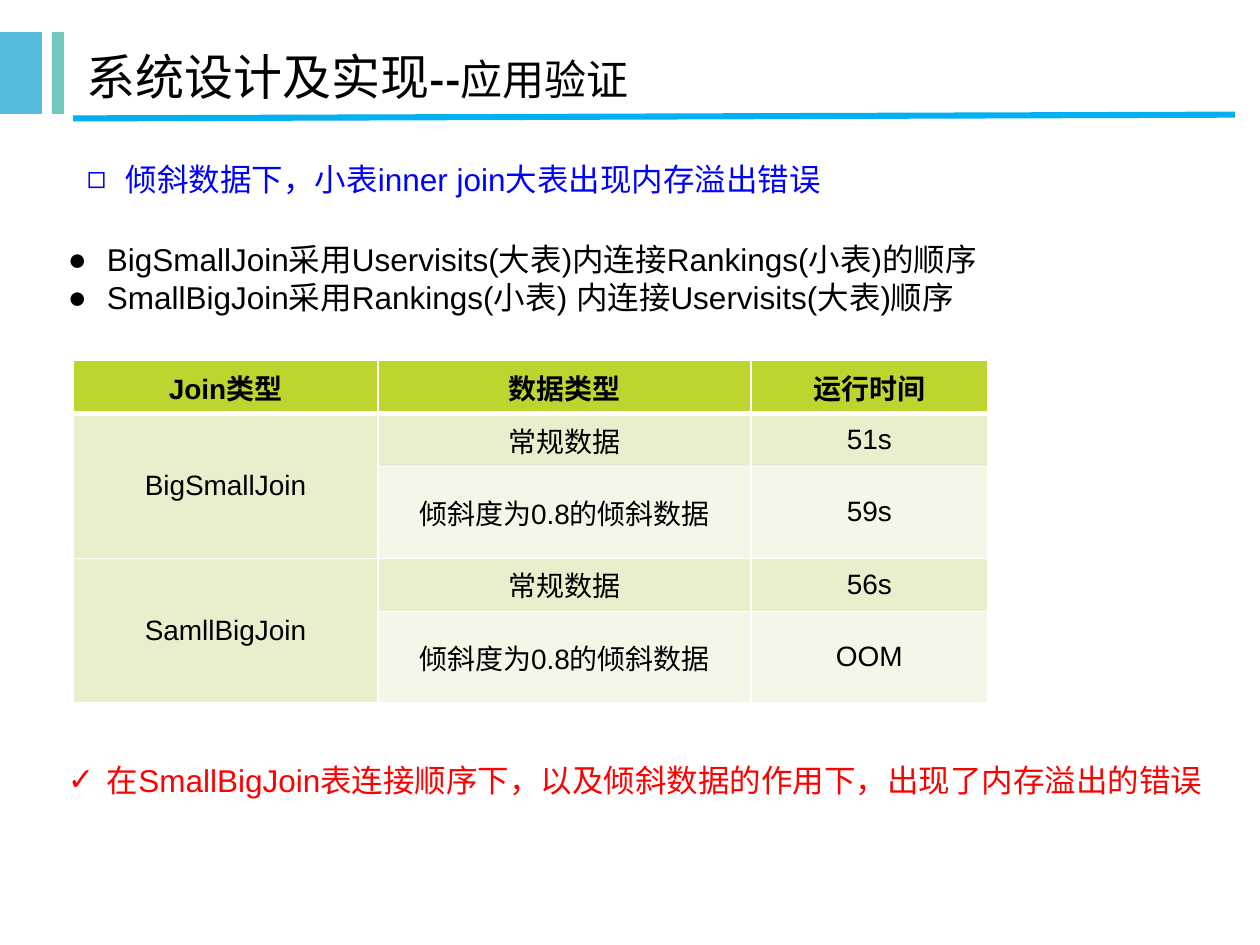
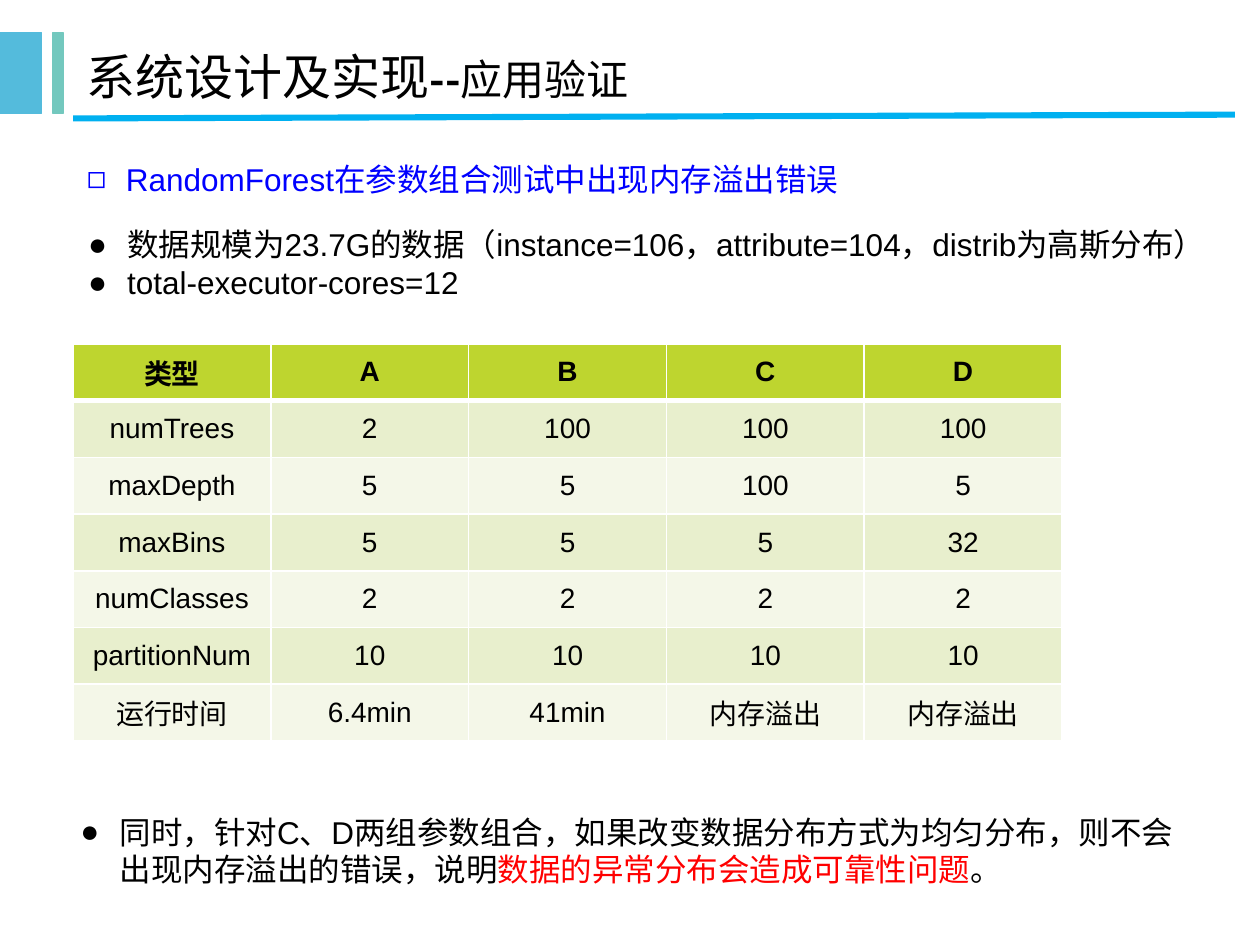
from dataclasses import dataclass

from lxml.etree import SubElement
from pptx import Presentation
from pptx.dml.color import RGBColor
from pptx.enum.shapes import MSO_CONNECTOR, MSO_SHAPE
from pptx.enum.text import MSO_ANCHOR, MSO_AUTO_SIZE, PP_ALIGN
from pptx.oxml.ns import qn
from pptx.util import Inches, Pt


@dataclass(frozen=True)
class Theme:
    latin: str = "Arial"
    cjk: str = "Noto Sans CJK SC"
    black: str = "000000"
    topic: str = "0000FF"
    alert: str = "FF0000"
    rule: str = "00B0F0"
    header: str = "BED52F"
    bands: tuple = ("F4F7E8", "E8EFCD")
    border: str = "FFFFFF"
    title_size: int = 28
    subtitle_size: int = 24
    body_size: int = 18
    table_size: int = 16
    indent: float = 0.31


T = Theme()

# Title runs: text, size, bold
TITLE = [
    ("系统设计及实现", T.title_size, False),
    ("--", T.subtitle_size, True),
    ("应用验证", T.subtitle_size, False),
]
# Left-edge bands: left, width, colour
SIDE_BANDS = [(0, 0.33, "54BBDC"), (0.42, 0.08, "73C8BE")]
TOPIC_BOX = (0.59, 1.22, 7.52, 0.4)

# Text boxes: box, bullet, paragraphs; each paragraph lists (text, colour) runs.
# In a table, None continues the cell above.
SLIDES = [
    {
        "topic": "倾斜数据下，小表inner join大表出现内存溢出错误",
        "table": {
            "at": (0.58, 2.86),
            "cols": [2.42, 2.96, 1.88],
            "rows": [0.42, 0.42, 0.73, 0.42, 0.73],
            "cells": [
                ["Join类型", "数据类型", "运行时间"],
                ["BigSmallJoin", "常规数据", "51s"],
                [None, "倾斜度为0.8的倾斜数据", "59s"],
                ["SamllBigJoin", "常规数据", "56s"],
                [None, "倾斜度为0.8的倾斜数据", "OOM"],
            ],
        },
        "texts": [
            ((0.44, 5.99, 9.49, 0.4), "✓", [
                [("在SmallBigJoin表连接顺序下，以及倾斜数据的作用下，出现了内存溢出的错误", T.alert)],
            ]),
            ((0.44, 1.86, 8.62, 1), "●", [
                [("BigSmallJoin采用Uservisits(大表)内连接Rankings(小表)的顺序", T.black)],
                [("SmallBigJoin采用Rankings(小表) 内连接Uservisits(大表)顺序", T.black)],
            ]),
        ],
    },
    {
        "topic": "RandomForest在参数组合测试中出现内存溢出错误",
        "table": {
            "at": (0.58, 2.73),
            "cols": [1.57] * 5,
            "rows": [0.45] * 7,
            "cells": [
                ["类型", "A", "B", "C", "D"],
                ["numTrees", "2", "100", "100", "100"],
                ["maxDepth", "5", "5", "100", "5"],
                ["maxBins", "5", "5", "5", "32"],
                ["numClasses", "2", "2", "2", "2"],
                ["partitionNum", "10", "10", "10", "10"],
                ["运行时间", "6.4min", "41min", "内存溢出", "内存溢出"],
            ],
        },
        "texts": [
            ((0.6, 1.74, 9.21, 0.7), "●", [
                [("数据规模为23.7G的数据（instance=106，attribute=104，distrib为高斯分布）", T.black)],
                [("total-executor-cores=12", T.black)],
            ]),
            ((0.54, 6.4, 8.91, 0.7), "●", [
                [
                    ("同时，针对C、D两组参数组合，如果改变数据分布方式为均匀分布，"
                     "则不会出现内存溢出的错误，说明", T.black),
                    ("数据的异常分布会造成可靠性问题", T.alert),
                    ("。", T.black),
                ],
            ]),
        ],
    },
]


def rgb(color):
    return RGBColor.from_string(color)


def add_run(p, text, size, color=T.black, bold=False, latin=T.latin):
    r = p.add_run()
    r.text = text
    r.font.size, r.font.bold, r.font.name = Pt(size), bold, latin
    r.font.color.rgb = rgb(color)
    SubElement(r.font._element, qn("a:ea"), typeface=T.cjk)


def add_frame(slide):
    """Add the title, side bands and rule that every slide shares."""
    for left, width, color in SIDE_BANDS:
        sp = slide.shapes.add_shape(
            MSO_SHAPE.RECTANGLE, Inches(left), Inches(0.26), Inches(width), Inches(0.64))
        sp.shadow.inherit = False
        sp.fill.solid()
        sp.fill.fore_color.rgb = sp.line.color.rgb = rgb(color)
        sp.line.width = Pt(0.75)

    title = slide.shapes.title
    title.left, title.top = Inches(0.59), Inches(0.26)
    title.width, title.height = Inches(8.91), Inches(0.69)
    tf = title.text_frame
    tf.auto_size = MSO_AUTO_SIZE.NONE
    tf.vertical_anchor = MSO_ANCHOR.MIDDLE
    p = tf.paragraphs[0]
    p.alignment = PP_ALIGN.LEFT
    for text, size, bold in TITLE:
        add_run(p, text, size, bold=bold, latin=T.cjk)

    rule = slide.shapes.add_connector(
        MSO_CONNECTOR.STRAIGHT, Inches(0.58), Inches(0.94), Inches(9.8), Inches(0.91))
    rule.line.color.rgb = rgb(T.rule)
    rule.line.width = Pt(3.5)
    SubElement(rule._element.spPr, qn("a:effectLst"))


def add_bullets(slide, box, bullet, paragraphs):
    tf = slide.shapes.add_textbox(*map(Inches, box)).text_frame
    tf.word_wrap = True
    for i, runs in enumerate(paragraphs):
        p = tf.add_paragraph() if i else tf.paragraphs[0]
        pPr = p._p.get_or_add_pPr()
        pPr.set("marL", str(Inches(T.indent)))
        pPr.set("indent", str(-Inches(T.indent)))
        SubElement(pPr, qn("a:buFont"), typeface=T.latin)
        SubElement(pPr, qn("a:buChar"), char=bullet)
        for text, color in runs:
            add_run(p, text, T.body_size, color)


def set_borders(cell, row):
    """Draw thin borders, with a thick one between the header and the body."""
    tcPr = cell._tc.get_or_add_tcPr()
    widths = {"L": 1, "R": 1, "T": 3 if row == 1 else 1, "B": 3 if row == 0 else 1}
    for side, width in widths.items():
        ln = SubElement(tcPr, qn(f"a:ln{side}"), w=str(Pt(width)))
        SubElement(SubElement(ln, qn("a:solidFill")), qn("a:srgbClr"), val=T.border)


def add_data_table(slide, at, cols, rows, cells):
    table = slide.shapes.add_table(
        len(rows), len(cols), *map(Inches, (*at, sum(cols), sum(rows)))).table
    for column, width in zip(table.columns, cols):
        column.width = Inches(width)
    for row, height in zip(table.rows, rows):
        row.height = Inches(height)
    for i, values in enumerate(cells):
        for j, value in enumerate(values):
            cell = table.cell(i, j)
            set_borders(cell, i)
            cell.fill.solid()
            cell.fill.fore_color.rgb = rgb(T.bands[i % 2] if i else T.header)
            if value is None:
                table.cell(i - 1, j).merge(cell)
                continue
            cell.vertical_anchor = MSO_ANCHOR.MIDDLE
            p = cell.text_frame.paragraphs[0]
            p.alignment = PP_ALIGN.CENTER
            add_run(p, value, T.table_size, bold=i == 0)


def main():
    prs = Presentation()
    prs.slide_width, prs.slide_height = Inches(10), Inches(7.5)
    for content in SLIDES:
        slide = prs.slides.add_slide(prs.slide_layouts.get_by_name("Title Only"))
        add_frame(slide)
        add_data_table(slide, **content["table"])
        for box, bullet, paragraphs in content["texts"]:
            add_bullets(slide, box, bullet, paragraphs)
        add_bullets(slide, TOPIC_BOX, "◻", [[(content["topic"], T.topic)]])
    prs.save("out.pptx")


if __name__ == "__main__":
    main()
